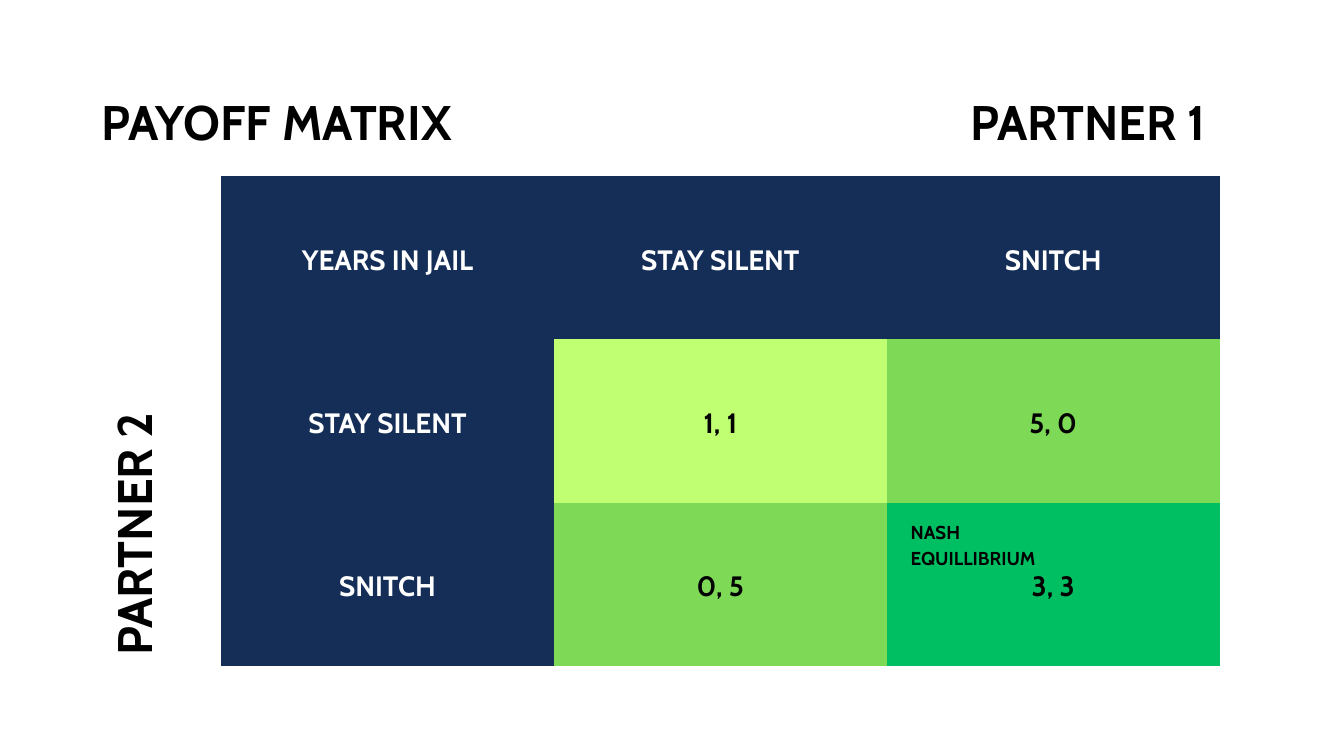
import pptx
import pptx.dml.color
import pptx.enum.text
import pptx.util
from lxml import etree
from pptx.util import Inches

ALIGN = pptx.enum.text.PP_ALIGN
NAVY, LIME, GREEN, DEEP = "142E57", "C1FF72", "7ED957", "00BF63"
WHITE, BLACK = "FFFFFF", "000000"


def color(code):
    return pptx.dml.color.RGBColor.from_string(code)


def write(frame, text, size, ink, align):
    """Put one paragraph per line of text, with line spacing 1.4 times the size."""
    frame.text = text
    for para in frame.paragraphs:
        para.alignment = align
        para.line_spacing = pptx.util.Pt(size * 1.4)
        look = {"name": "Cabin", "size": pptx.util.Pt(size), "bold": True}
        for key, value in look.items():
            setattr(para.font, key, value)
        para.font.color.rgb = color(ink)


deck = pptx.Presentation()
deck.slide_width, deck.slide_height = Inches(20), Inches(11.25)
slide = deck.slides.add_slide(deck.slide_layouts[6])

# Payoff table
cells = [
    [("YEARS IN JAIL", NAVY), ("STAY SILENT", NAVY), ("SNITCH", NAVY)],
    [("STAY SILENT", NAVY), ("1, 1", LIME), ("5, 0", GREEN)],
    [("SNITCH", NAVY), ("0, 5", GREEN), ("3, 3", DEEP)],
]
grid = slide.shapes.add_table(
    3, 3, Inches(3.29), Inches(2.62), Inches(14.86), Inches(7.29)
).table
sides = ("left", "right", "top", "bottom")
for r, row in enumerate(cells):
    for c, (text, fill) in enumerate(row):
        cell = grid.cell(r, c)
        ink = WHITE if fill == NAVY else BLACK
        write(cell.text_frame, text, 30, ink, ALIGN.CENTER)
        cell.vertical_anchor = pptx.enum.text.MSO_ANCHOR.MIDDLE
        for side in sides:
            setattr(cell, "margin_" + side, Inches(0.21))
        props = cell._tc.get_or_add_tcPr()
        for side in sides:
            edge = etree.SubElement(
                props, pptx.oxml.ns.qn("a:ln" + side[0].upper()), w="0"
            )
            etree.SubElement(edge, pptx.oxml.ns.qn("a:noFill"))
        cell.fill.solid()
        cell.fill.fore_color.rgb = color(fill)

# Title, player names and note
labels = [
    ("PARTNER 1", 14.23, 1.23, 3.92, 0.97, 52, ALIGN.CENTER, 0),
    ("PARTNER 2", -0.09, 7.46, 3.95, 0.97, 52, ALIGN.CENTER, 270),
    ("PAYOFF MATRIX", 1.51, 1.23, 7.58, 0.97, 52, ALIGN.LEFT, 0),
    ("NASH\nEQUILLIBRIUM", 13.55, 7.7, 7.58, 0.77, 20, ALIGN.LEFT, 0),
]
for text, left, top, width, height, size, align, turn in labels:
    box = slide.shapes.add_textbox(
        Inches(left), Inches(top), Inches(width), Inches(height)
    )
    box.rotation = turn
    frame = box.text_frame
    frame.word_wrap = True
    frame.auto_size = pptx.enum.text.MSO_AUTO_SIZE.SHAPE_TO_FIT_TEXT
    for side in sides:
        setattr(frame, "margin_" + side, 0)
    write(frame, text, size, BLACK, align)

deck.save("out.pptx")
